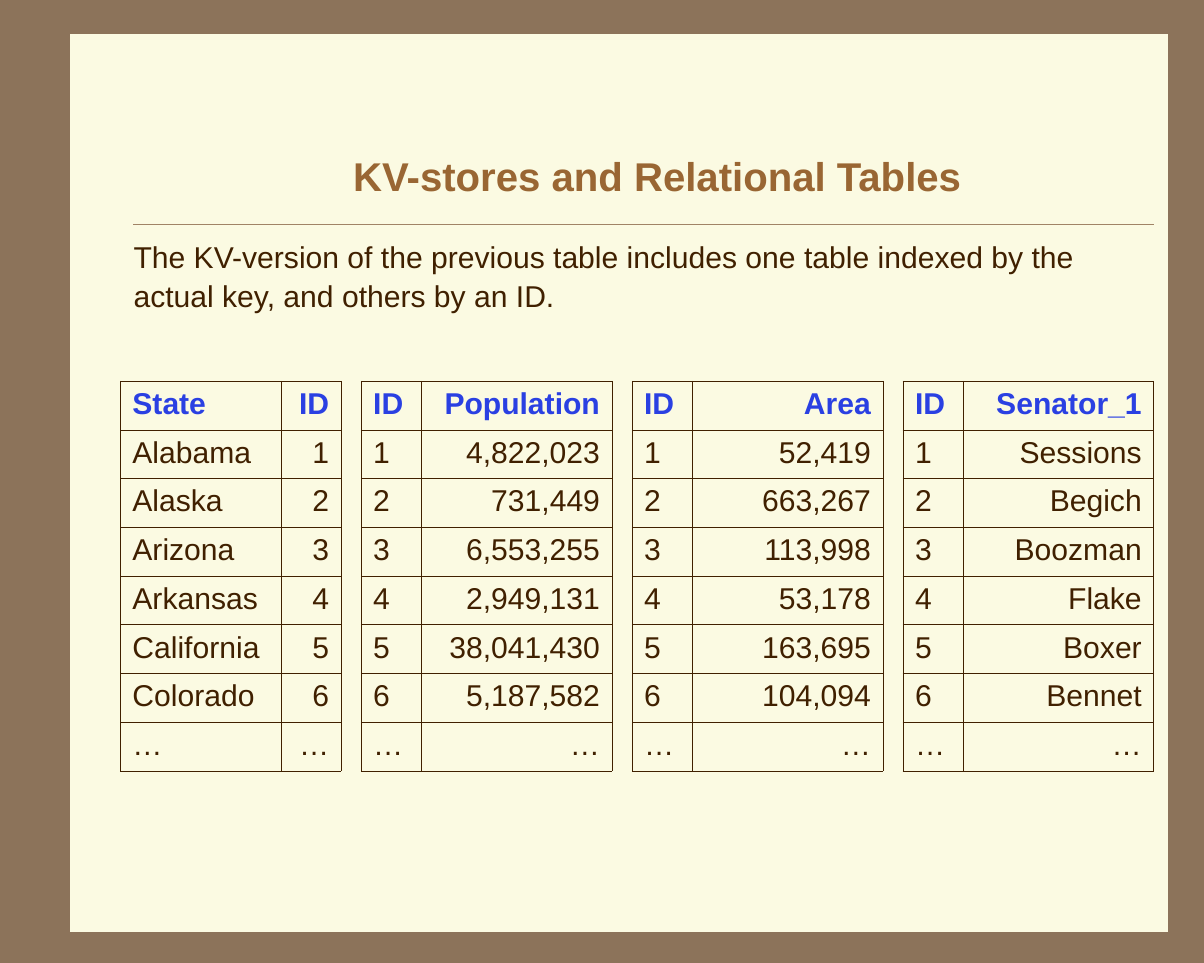
from lxml.etree import SubElement as Sub
from pptx import Presentation
from pptx.dml.color import RGBColor
from pptx.enum.shapes import MSO_CONNECTOR as Link, MSO_SHAPE as Form
from pptx.enum.text import MSO_ANCHOR as Anchor, PP_ALIGN as Align
from pptx.oxml.ns import qn
from pptx.util import Inches, Pt

BROWN = RGBColor(0x8C, 0x73, 0x5A)
CREAM = RGBColor(0xFB, 0xFA, 0xE2)
TAN = RGBColor(0xA0, 0x83, 0x66)
RUST = RGBColor(0x99, 0x66, 0x33)
DARK = RGBColor(0x40, 0x20, 0x00)
BLUE = RGBColor(0x2A, 0x40, 0xE2)

KEYS = ["1", "2", "3", "4", "5", "6", "…"]
STATES = ["Alabama", "Alaska", "Arizona", "Arkansas", "California", "Colorado", "…"]
STORES = {
    "Population": ["4,822,023", "731,449", "6,553,255", "2,949,131",
                   "38,041,430", "5,187,582", "…"],
    "Area": ["52,419", "663,267", "113,998", "53,178", "163,695", "104,094", "…"],
    "Senator_1": ["Sessions", "Begich", "Boozman", "Flake", "Boxer", "Bennet", "…"],
}
ID_WIDTH, STATE_WIDTH, VALUE_WIDTH, GAP = 6, 16, 19, 2


def unit(count):
    """Turn grid columns or rows, twelve to the inch, into a length."""
    return Inches(count / 12)


def write(frame, text, size=18, color=DARK, bold=False, align=Align.LEFT, lead=None):
    para = frame.paragraphs[0]
    para.text = text
    para.alignment = align
    if lead:
        para.line_spacing = lead
    font = para.runs[0].font
    font.name, font.size, font.bold = "Arial", Pt(size), bold
    font.color.rgb = color


def frame_cell(cell, color, width):
    """Draw all four borders of a table cell."""
    props = cell._tc.get_or_add_tcPr()
    for side in ("lnL", "lnR", "lnT", "lnB"):
        line = Sub(props, qn(f"a:{side}"), w=str(Pt(width)))
        Sub(Sub(line, qn("a:solidFill")), qn("a:srgbClr"), val=str(color))


class Page:
    def __init__(self, slide, back):
        self.slide = slide
        self.shapes = slide.shapes
        fill = slide.background.fill
        fill.solid()
        fill.fore_color.rgb = back

    def panel(self, left, top, width, height, color):
        box = self.shapes.add_shape(Form.RECTANGLE, *map(unit, (left, top, width, height)))
        box.shadow.inherit = False
        box.fill.solid()
        box.fill.fore_color.rgb = color
        box.line.fill.background()

    def rule(self, left, right, top, color, width):
        line = self.shapes.add_connector(Link.STRAIGHT, *map(unit, (left, top, right, top)))
        line.line.color.rgb = color
        line.line.width = Pt(width)
        Sub(line._element.spPr, qn("a:effectLst"))

    def text(self, left, top, width, height, words, anchor=Anchor.TOP, **style):
        box = self.shapes.add_textbox(*map(unit, (left, top, width, height)))
        frame = box.text_frame
        frame.word_wrap = True
        frame.vertical_anchor = anchor
        frame.margin_left = frame.margin_right = Inches(0.11)
        write(frame, words, **style)

    def table(self, left, top, widths, rows, step=4.86):
        """Place a two-column table and return its right edge in columns."""
        total = sum(widths)
        size = (left, top, total, step * len(rows))
        table = self.shapes.add_table(len(rows), len(widths), *map(unit, size)).table
        for col, width in zip(table.columns, widths):
            col.width = unit(width)
        for row, values in enumerate(rows):
            table.rows[row].height = unit(step)
            for col, value in enumerate(values):
                cell = table.cell(row, col)
                frame_cell(cell, DARK, 0.45)
                cell.fill.solid()
                cell.fill.fore_color.rgb = CREAM
                write(cell.text_frame, value, bold=row == 0,
                      color=DARK if row else BLUE,
                      align=Align.RIGHT if col else Align.LEFT)
        return left + total


def main():
    deck = Presentation()
    deck.slide_width, deck.slide_height = Inches(10), Inches(8)
    page = Page(deck.slides.add_slide(deck.slide_layouts[6]), BROWN)
    page.panel(7, 3.4, 109.4, 89.5, CREAM)
    page.rule(13.3, 115, 22.4, TAN, 0.25)
    page.text(14, 14, 103, 7, "KV-stores and Relational Tables", anchor=Anchor.MIDDLE,
              size=24, color=RUST, bold=True, align=Align.CENTER)
    page.text(12, 22.9, 103, 69,
              "The KV-version of the previous table includes one table indexed "
              "by the actual key, and others by an ID.", lead=1.08)

    top = 38
    edge = page.table(12, top, (STATE_WIDTH, ID_WIDTH),
                      [("State", "ID"), *zip(STATES, KEYS)])
    for name, values in STORES.items():
        edge = page.table(edge + GAP, top, (ID_WIDTH, VALUE_WIDTH),
                          [("ID", name), *zip(KEYS, values)])
    deck.save("out.pptx")


if __name__ == "__main__":
    main()
